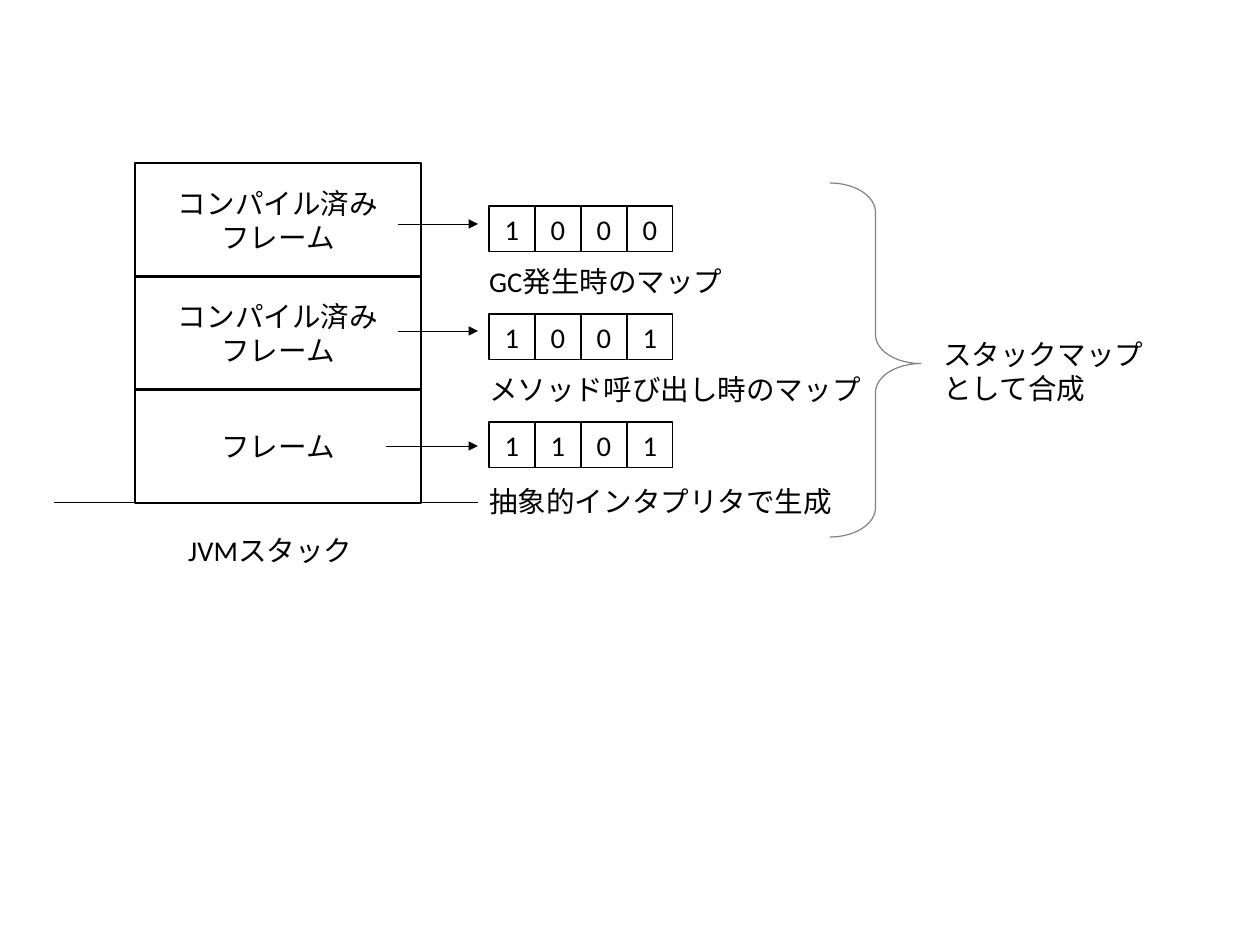
from pptx import Presentation
from pptx.dml.color import RGBColor
from pptx.enum.shapes import MSO_CONNECTOR as Connector, MSO_SHAPE as Shape
from pptx.enum.text import MSO_ANCHOR as Anchor, MSO_AUTO_SIZE as AutoSize, PP_ALIGN as Align
from pptx.oxml.ns import qn
from pptx.util import Pt
from lxml.etree import SubElement

PX = 8000
COLORS = {"ink": "000000", "brace": "808080"}

deck = Presentation()
deck.slide_width, deck.slide_height = 1260 * PX, 945 * PX
page = deck.slides.add_slide(deck.slide_layouts[6])


def add_text(text, left, top, width, height, framed=False, size=18, font="Calibri"):
    area = [length * PX for length in (left, top, width, height)]
    if framed:
        box = page.shapes.add_shape(Shape.RECTANGLE, *area)
        box.shadow.inherit = False
        box.fill.background()
        box.line.color.rgb = RGBColor.from_string(COLORS["ink"])
        box.line.width = 0
    else:
        box = page.shapes.add_textbox(*area)
        box.text_frame.auto_size = AutoSize.SHAPE_TO_FIT_TEXT
    frame = box.text_frame
    frame.word_wrap = False
    frame.vertical_anchor = Anchor.MIDDLE if framed else Anchor.TOP
    frame.text = text
    for para in frame.paragraphs:
        para.alignment = Align.CENTER if framed else Align.LEFT
        for span in para.runs:
            span.font.size = Pt(size)
            span.font.name = font
            span.font.color.rgb = RGBColor.from_string(COLORS["ink"])


def add_line(left, right, y, arrow=False):
    line = page.shapes.add_connector(
        Connector.STRAIGHT, left * PX, y * PX, right * PX, y * PX)
    line._element.remove(line._element.find(qn("p:style")))
    line.line.color.rgb = RGBColor.from_string(COLORS["ink"])
    line.line.width = 0
    if arrow:
        SubElement(line.line._get_or_add_ln(), qn("a:tailEnd"), type="triangle")
    SubElement(line._element.spPr, qn("a:effectLst"))


add_line(55, 478, 503)
add_text("JVMスタック", 177, 527, 202, 53)

stack_frames = [
    ("フレーム", 389),
    ("コンパイル済み\nフレーム", 276),
    ("コンパイル済み\nフレーム", 163),
]
for text, top in stack_frames:
    add_text(text, 135, top, 286, 114, framed=True)

CELL = 46
stack_maps = [
    ("1101", 422, 386, 446, "抽象的インタプリタで生成", 478, 366),
    ("1001", 314, 398, 331, "メソッド呼び出し時のマップ", 366, 394),
    ("1000", 206, 398, 224, "GC発生時のマップ", 258, 270),
]
for bits, cell_top, arrow_left, arrow_y, label, label_top, label_width in stack_maps:
    add_line(arrow_left, 478, arrow_y, arrow=True)
    for column, bit in enumerate(bits):
        add_text(bit, 489 + column * CELL, cell_top, CELL, CELL, framed=True)
    add_text(label, 478, label_top, label_width, 53)

brace = page.shapes.add_shape(Shape.RIGHT_BRACE, 830 * PX, 183 * PX, 91 * PX, 354 * PX)
brace.adjustments[0] = 0.32
brace.adjustments[1] = 0.51
brace.shadow.inherit = False
brace.fill.background()
brace.line.color.rgb = RGBColor.from_string(COLORS["brace"])
brace.line.width = 0

add_text("スタックマップ\nとして合成", 932, 331, 223, 94)

deck.save("out.pptx")
